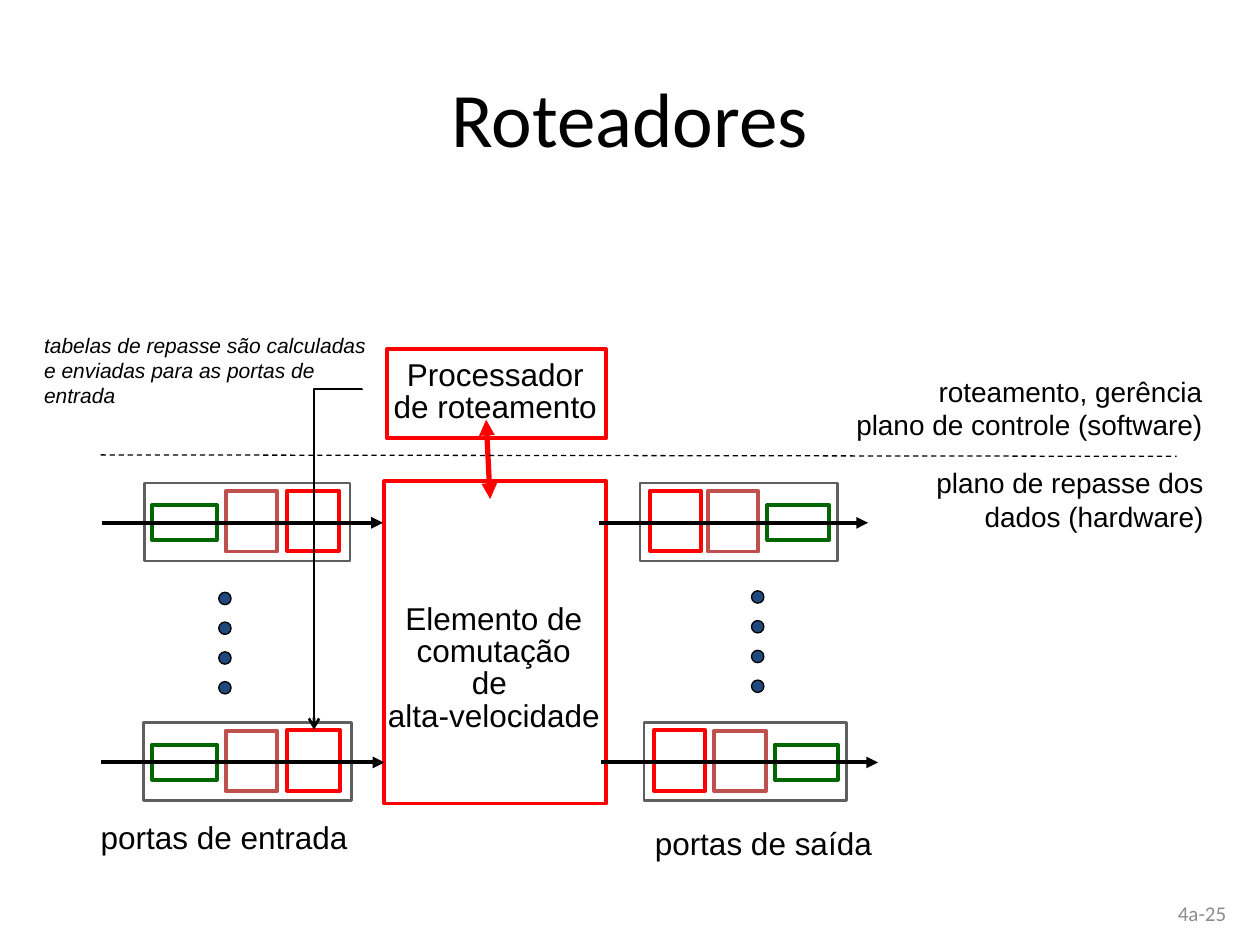
from lxml import etree
from pptx import Presentation
from pptx.dml.color import RGBColor
from pptx.enum.dml import MSO_LINE
from pptx.enum.shapes import MSO_CONNECTOR, MSO_SHAPE
from pptx.enum.text import MSO_ANCHOR, PP_ALIGN
from pptx.oxml.ns import qn
from pptx.util import Cm, Pt

RECT, OVAL = MSO_SHAPE.RECTANGLE, MSO_SHAPE.OVAL
STRAIGHT, ELBOW = MSO_CONNECTOR.STRAIGHT, MSO_CONNECTOR.ELBOW
LEFT, CENTER, RIGHT = PP_ALIGN.LEFT, PP_ALIGN.CENTER, PP_ALIGN.RIGHT
TOP, MIDDLE = MSO_ANCHOR.TOP, MSO_ANCHOR.MIDDLE
DASH = MSO_LINE.DASH

COLORS = {"black": "000000", "white": "FFFFFF", "red": "FF0000", "brick": "C0504D",
          "green": "006600", "gray": "5F5F5F", "navy": "1F497D", "page": "8C8C8C"}

# Content: all lengths in cm
TITLE = ["Roteadores"]
PAGE = ["4a-25"]
FABRIC = ["Elemento de", "comutação", "de ", "alta-velocidade"]
PROCESSOR = ["Processador de roteamento"]
TABLES = ["tabelas de repasse são calculadas", "e enviadas para as portas de entrada"]
LABELS = [  # lines, left, top, width, height, size, alignment
    (["portas de entrada"], 1.78, 16.36, 5.54, 1.02, 18, LEFT),
    (["portas de saída"], 12.95, 16.48, 4.93, 1.02, 18, LEFT),
    (["plano de repasse dos dados (hardware)"], 18.44, 9.27, 6.07, 1.63, 16, RIGHT),
    (["roteamento, gerência", "plano de controle (software)"],
     16.26, 7.42, 8.23, 1.63, 16, RIGHT),
]
# Each port: centre line, arrow span, then (left, width) of every part
PORTS = [
    {"y": 10.54, "arrow": (2.06, 7.72), "gray": (2.92, 4.14),
     "green": (3.07, 1.3), "brick": (4.55, 1.04), "red": (5.79, 1.04)},
    {"y": 15.37, "arrow": (2.03, 7.75), "gray": (2.9, 4.19),
     "green": (3.07, 1.3), "brick": (4.55, 1.04), "red": (5.79, 1.07)},
    {"y": 10.54, "arrow": (12.07, 17.5), "gray": (12.9, 3.99),
     "green": (15.47, 1.24), "brick": (14.27, 1.02), "red": (13.11, 1.02)},
    {"y": 15.37, "arrow": (12.12, 17.7), "gray": (12.98, 4.09),
     "green": (15.62, 1.27), "brick": (14.4, 1.04), "red": (13.18, 1.04)},
]
PART_STYLE = {  # height, offset of top above the centre line, line width
    "gray": (1.57, 0.8, 1.5), "green": (0.71, 0.36, 2.25),
    "brick": (1.22, 0.64, 2.25), "red": (1.22, 0.65, 2.25)}
DOT_COLUMNS = [(4.41, 11.94), (15.15, 11.91)]
DOT_COUNT, DOT_STEP, DOT_SIZE = 4, 0.6, 0.25

prs = Presentation()
prs.slide_width, prs.slide_height = Cm(25.4), Cm(19.05)
s = prs.slides.add_slide(prs.slide_layouts[6])


def color(name):
    return RGBColor.from_string(COLORS[name])


def add_shape(kind, x, y, w, h, fill, line, width):
    sp = s.shapes.add_shape(kind, Cm(x), Cm(y), Cm(w), Cm(h))
    sp.shadow.inherit = False
    sp.fill.solid()
    sp.fill.fore_color.rgb = color(fill)
    sp.line.color.rgb = color(line)
    sp.line.width = Pt(width)
    return sp


def add_text(lines, x, y, w, h, size, align, font="Arial", ink="black",
             anchor=TOP, spacing=None, italic=False, wrap=True):
    tf = s.shapes.add_textbox(Cm(x), Cm(y), Cm(w), Cm(h)).text_frame
    tf.word_wrap = wrap
    tf.vertical_anchor = anchor
    tf.text = "\n".join(lines)
    for p in tf.paragraphs:
        p.alignment = align
        p.line_spacing = spacing
        for r in p.runs:
            r.font.name = font
            r.font.size = Pt(size)
            r.font.italic = italic
            r.font.color.rgb = color(ink)


def add_line(x1, y1, x2, y2, width, ink="black", head=None, tail=None,
             dash=None, kind=STRAIGHT):
    cn = s.shapes.add_connector(kind, Cm(x1), Cm(y1), Cm(x2), Cm(y2))
    cn.line.color.rgb = color(ink)
    cn.line.width = Pt(width)
    if dash:
        cn.line.dash_style = dash
    ln = cn.line._get_or_add_ln()
    for tag, end in (("a:headEnd", head), ("a:tailEnd", tail)):
        if end:
            etree.SubElement(ln, qn(tag), type=end)
    etree.SubElement(cn._element.spPr, qn("a:effectLst"))
    return cn


# Title and page number
add_text(TITLE, 1.27, 0.76, 22.86, 3.18, 44, CENTER, "Calibri", anchor=MIDDLE)
add_text(PAGE, 22.68, 17.78, 2.29, 1.27, 12, RIGHT, "Calibri", "page", MIDDLE)

# Switching fabric and routing processor
add_shape(RECT, 7.75, 9.7, 4.47, 6.5, "white", "red", 2.25)
add_text(FABRIC, 7.54, 12.07, 4.83, 2.87, 18, CENTER, spacing=0.85, wrap=False)
add_shape(RECT, 7.8, 7.04, 4.42, 1.8, "white", "red", 2.25)
add_text(PROCESSOR, 7.66, 7.14, 4.65, 1.57, 18, CENTER, spacing=0.85)
add_line(9.8, 8.46, 9.88, 10.06, 3, "red", "triangle", "triangle")

# Input and output ports
for port in PORTS:
    y = port["y"]
    for part, (height, rise, width) in PART_STYLE.items():
        x, w = port[part]
        add_shape(RECT, x, y - rise, w, height, "white", part, width)
    start, end = port["arrow"]
    add_line(start, y, end, y, 2.25, tail="triangle")

# Dots standing for the ports in between
for x, y in DOT_COLUMNS:
    for i in range(DOT_COUNT):
        add_shape(OVAL, x, y + i * DOT_STEP, DOT_SIZE, DOT_SIZE, "navy", "black", 0.75)

# Control and data planes
add_line(2.03, 9.17, 23.72, 9.2, 0.75, dash=DASH)
for label in LABELS:
    add_text(*label)

# Forwarding tables sent to the input ports: elbow turned by 90 degrees
elbow = add_line(3.38, 10.8, 10.24, 11.76, 1.5, tail="arrow", kind=ELBOW)
elbow._element.spPr.find(qn("a:xfrm")).set("rot", "5400000")
geom = elbow._element.spPr.find(qn("a:prstGeom"))
guides = geom.find(qn("a:avLst"))
if guides is None:
    guides = etree.SubElement(geom, qn("a:avLst"))
etree.SubElement(guides, qn("a:gd"), name="adj1", fmla="val -100")
add_text(TABLES, 0.64, 6.58, 7.14, 1.8, 12, LEFT, italic=True)

prs.save("out.pptx")
